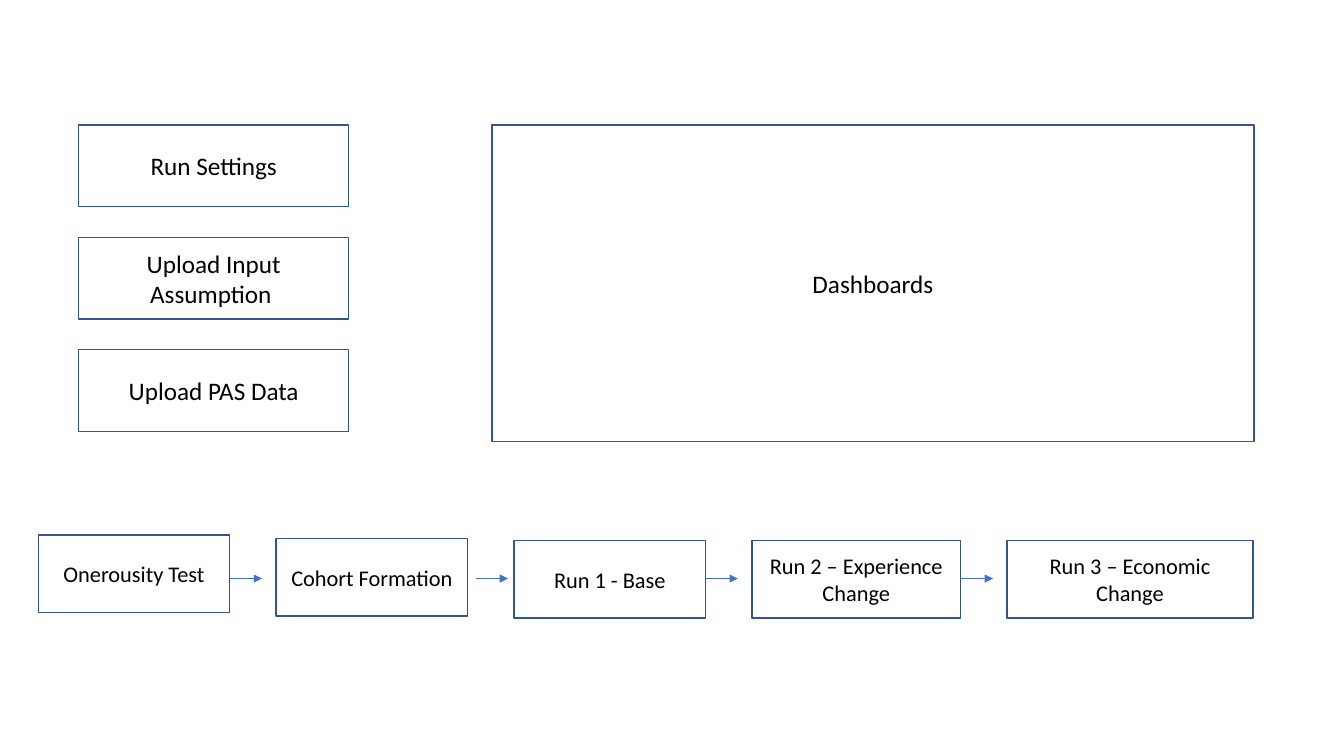
from lxml import etree
from pptx import Presentation
from pptx import util as u
from pptx.dml.color import RGBColor
from pptx.enum import shapes, text
from pptx.oxml.ns import qn

COLORS = {"border": "325491", "arrow": "4472C4", "text": "000000"}
CELL = 0.1  # inches per grid column and row
COLUMNS, ROWS = 133.33, 75


def grid(cells):
    return u.Inches(cells * CELL)


class Canvas:
    """Holds the style and the current slide."""

    frame_format = {"word_wrap": True, "vertical_anchor": text.MSO_ANCHOR.MIDDLE}
    font_format = {"name": "Calibri"}

    def __init__(self, slide):
        self.slide = slide

    def color(self, name):
        return RGBColor.from_string(COLORS[name])

    def apply(self, target, values):
        for key, value in values.items():
            setattr(target, key, value)

    def box(self, label, left, top, width, height, size):
        box = self.slide.shapes.add_shape(
            shapes.MSO_SHAPE.RECTANGLE, *map(grid, (left, top, width, height)))
        box.shadow.inherit = False
        box.fill.background()
        box.line.color.rgb = self.color("border")
        box.line.width = u.Pt(1)
        self.apply(box.text_frame, self.frame_format)
        paragraph = box.text_frame.paragraphs[0]
        paragraph.alignment = text.PP_ALIGN.CENTER
        run = paragraph.add_run()
        run.text = label
        self.apply(run.font, {**self.font_format, "size": u.Pt(size)})
        run.font.color.rgb = self.color("text")

    def arrow(self, left, top, length):
        arrow = self.slide.shapes.add_connector(
            shapes.MSO_CONNECTOR.STRAIGHT,
            *map(grid, (left, top, left + length, top)))
        arrow.line.color.rgb = self.color("arrow")
        arrow.line.width = u.Pt(0.5)
        etree.SubElement(arrow.line._get_or_add_ln(), qn("a:tailEnd"), type="triangle")
        etree.SubElement(arrow._element.spPr, qn("a:effectLst"))


deck = Presentation()
deck.slide_width, deck.slide_height = grid(COLUMNS), grid(ROWS)
canvas = Canvas(deck.slides.add_slide(deck.slide_layouts[6]))

# Input buttons, stacked at an equal pitch
INPUTS_TOP, INPUT_PITCH = 12.4, 11.15
for row, label in enumerate(["Run Settings", "Upload Input Assumption ", "Upload PAS Data"]):
    canvas.box(label, 7.8, INPUTS_TOP + row * INPUT_PITCH, 26.8, 8.1, 18)

# Dashboard area
canvas.box("Dashboards", 48.8, INPUTS_TOP, 75.6, 31.4, 18)

# Run sequence: label, top, width, gap before the arrow (None: no arrow)
STEP_GAP, STEP_HEIGHT = 4.6, 7.7
ARROW_TOP, ARROW_LENGTH = 57.4, 3.2
steps = [
    ("Onerousity Test", 53.1, 19, 0),
    ("Cohort Formation", 53.4, 19, 0.8),
    ("Run 1 - Base", 53.6, 19, 0),
    ("Run 2 – Experience Change", 53.6, 20.7, 0),
    ("Run 3 – Economic Change", 53.6, 24.4, None),
]
left = 3.8
for label, top, width, arrow_gap in steps:
    canvas.box(label, left, top, width, STEP_HEIGHT, 16)
    if arrow_gap is not None:
        canvas.arrow(left + width + arrow_gap, ARROW_TOP, ARROW_LENGTH)
    left += width + STEP_GAP

deck.save("out.pptx")
